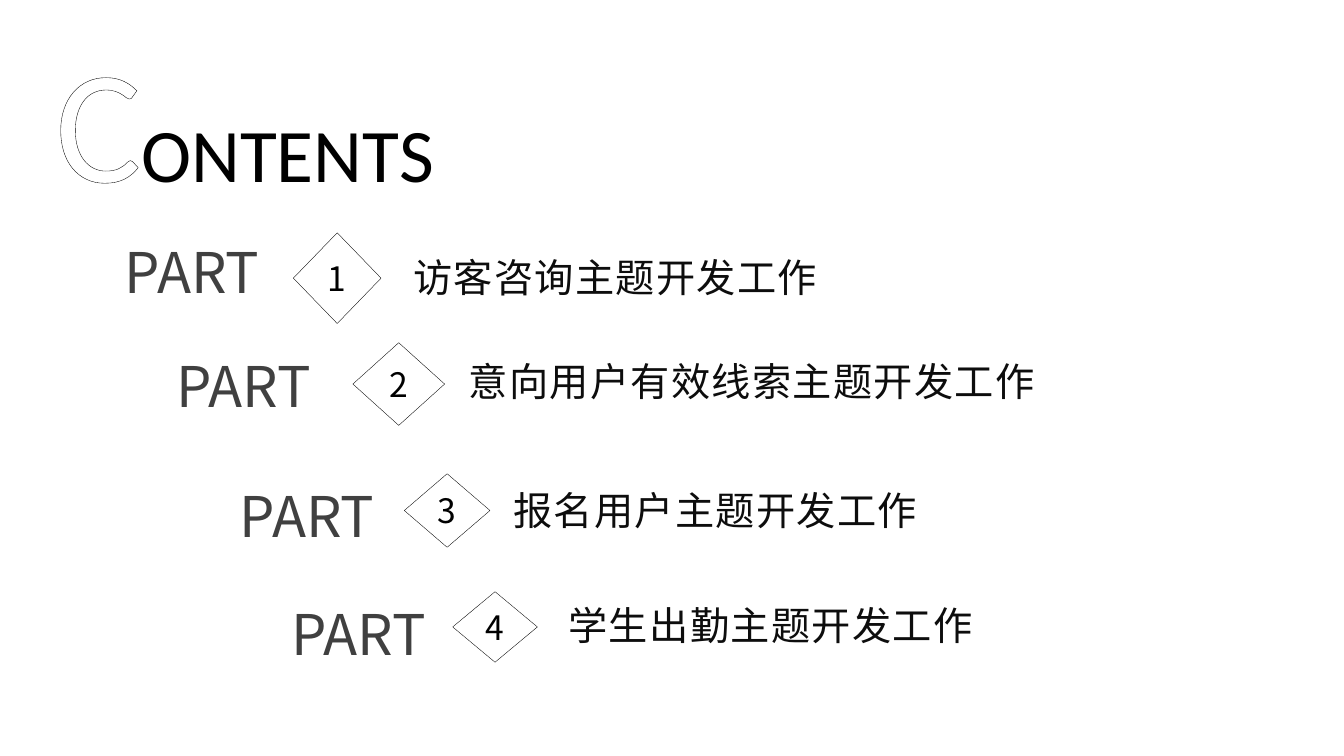
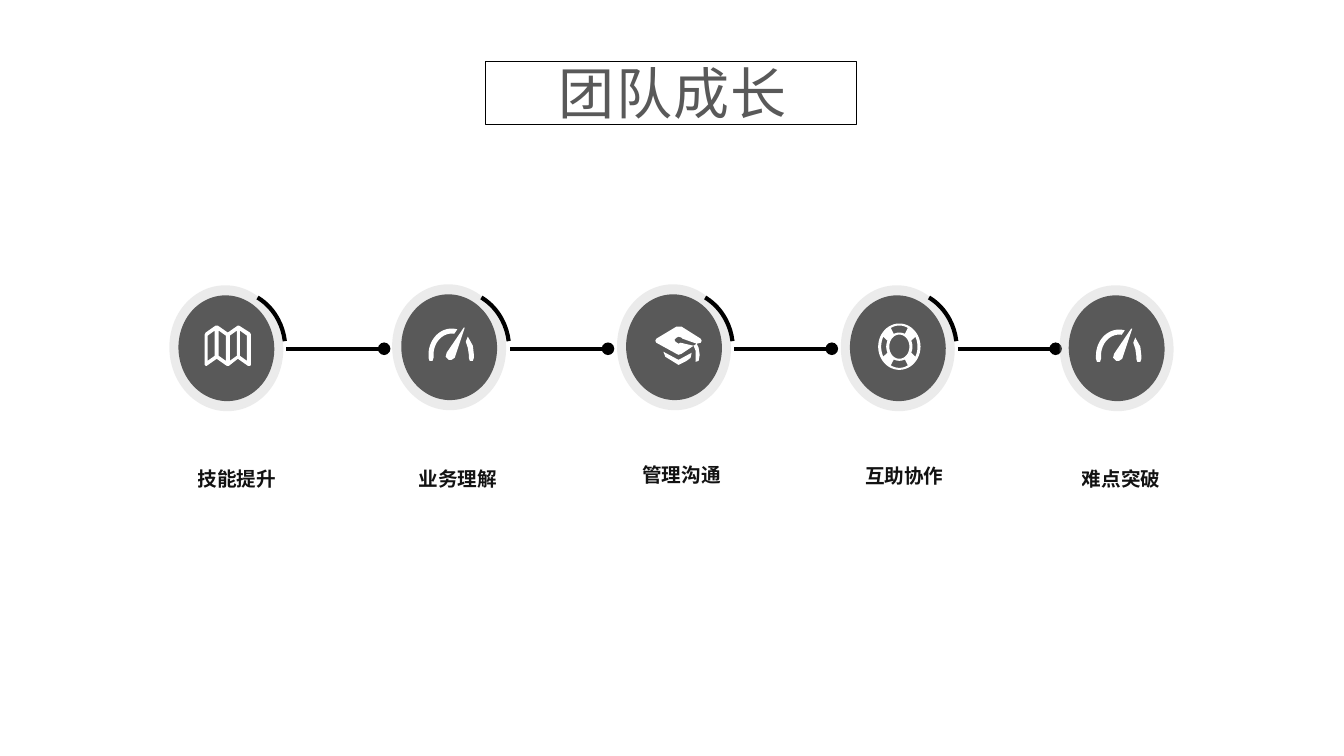
from math import cos, radians, sin

from lxml.etree import SubElement
from pptx import Presentation
from pptx.dml.color import RGBColor
from pptx.enum.shapes import MSO_CONNECTOR, MSO_SHAPE
from pptx.enum.text import MSO_ANCHOR, PP_ALIGN
from pptx.oxml.ns import qn
from pptx.util import Inches, Pt

COLORS = {"black": "000000", "white": "FFFFFF", "heading": "595959", "part": "404040",
          "topic": "0D0D0D", "halo": "BFBFBF", "disc": "595959"}
CJK, LATIN = "Noto Sans CJK SC", "Calibri"
TITLE_ONLY = 5

# topic, PART (left, top), diamond (left, top, width, height), topic (left, top)
CONTENTS = [
    ("访客咨询主题开发工作", (1.14, 2.31), (2.91, 2.31, 0.87, 0.9), (4.0, 2.42)),
    ("意向用户有效线索主题开发工作", (1.65, 3.44), (3.5, 3.4, 0.91, 0.82), (4.55, 3.45)),
    ("报名用户主题开发工作", (2.28, 4.73), (4.01, 4.7, 0.85, 0.73), (4.99, 4.73)),
    ("学生出勤主题开发工作", (2.79, 5.9), (4.49, 5.87, 0.84, 0.7), (5.54, 5.87)),
]

# label, label (left, top), halo (left, top), icon, icon (left, top)
GROWTH = [
    ("技能提升", (1.7, 4.58), (1.68, 2.83), "map", (2.03, 3.23)),
    ("业务理解", (3.89, 4.58), (3.89, 2.82), "gauge", (4.25, 3.24)),
    ("管理沟通", (6.11, 4.54), (6.12, 2.82), "cap", (6.5, 3.24)),
    ("互助协作", (8.32, 4.55), (8.34, 2.83), "ring", (8.71, 3.21)),
    ("难点突破", (10.47, 4.58), (10.51, 2.83), "gauge", (10.87, 3.25)),
]
HALO_SIZE, DISC_SIZE = (1.13, 1.25), (0.95, 1.05)
DISC_TILT = 355.3
LINK_PITCH, LINK_LEFT, LINK_LENGTH, LINK_Y = 2.22, 2.84, 0.97, 3.46
ARC_BOX = (1.72, 2.93, 1.16, 1.06)
ARC_ANGLES = (26.57, 81.76)


def ellipse_points(center, radii, start, end, steps=24):
    """Points along an ellipse, in degrees clockwise from the right."""
    angles = [radians(start + (end - start) * i / steps) for i in range(steps + 1)]
    return [(center[0] + radii[0] * cos(a), center[1] + radii[1] * sin(a)) for a in angles]


def map_icon():
    sheet = [(0.45, 0.07), (0.34, 0), (0.33, 0), (0.23, 0.07), (0.13, 0), (0.11, 0),
             (0.01, 0.07), (0, 0.09), (0, 0.39), (0.01, 0.4), (0.02, 0.4), (0.12, 0.33),
             (0.22, 0.4), (0.24, 0.4), (0.33, 0.33), (0.43, 0.4), (0.45, 0.4),
             (0.46, 0.39), (0.46, 0.09)]
    panels = []
    for i, left in enumerate((0.03, 0.14, 0.25, 0.35)):
        near, far = (0.05, 0.1) if i % 2 else (0.1, 0.05)
        right = left + 0.07
        panels.append([(left, near), (right, far), (right, far + 0.25), (left, near + 0.25)])
    return [sheet] + panels


def gauge_icon():
    center = (0.23, 0.28)
    needle = [(0.18, 0.26), (0.17, 0.3), (0.2, 0.33), (0.23, 0.33), (0.26, 0.31),
              (0.36, 0.01), (0.35, 0.01)]
    dial = (ellipse_points(center, (0.23, 0.26), 180, 284)
            + ellipse_points(center, (0.18, 0.21), 278, 180)
            + [(0.05, 0.31), (0.04, 0.34), (0.01, 0.34), (0, 0.31)])
    rest = [(0.39, 0.1), (0.37, 0.15), (0.39, 0.21), (0.4, 0.28), (0.4, 0.31), (0.41, 0.34),
            (0.44, 0.34), (0.45, 0.31), (0.45, 0.28), (0.44, 0.19)]
    return [needle, dial, rest]


def cap_icon():
    base = [(0.08, 0.25), (0.1, 0.3), (0.15, 0.33), (0.23, 0.38), (0.31, 0.34),
            (0.35, 0.31), (0.36, 0.26), (0.23, 0.33)]
    board = [(0.45, 0.12), (0.26, 0), (0.21, 0), (0.01, 0.12), (0, 0.14), (0.01, 0.16),
             (0.21, 0.27), (0.23, 0.28), (0.26, 0.27), (0.38, 0.19), (0.25, 0.16),
             (0.23, 0.17), (0.2, 0.15), (0.19, 0.13), (0.21, 0.11), (0.23, 0.1),
             (0.26, 0.11), (0.27, 0.12), (0.41, 0.17), (0.45, 0.16), (0.46, 0.14)]
    tassel = [(0.4, 0.35), (0.43, 0.34), (0.44, 0.28), (0.43, 0.21), (0.41, 0.17),
              (0.38, 0.19), (0.4, 0.24)]
    return [base, board, tassel]


def ring_icon():
    center = (0.21, 0.23)
    outlines = [ellipse_points(center, radii, 0, 360, 48) for radii in ((0.21, 0.23), (0.1, 0.12))]
    for middle in range(0, 360, 90):
        outlines.append(ellipse_points(center, (0.18, 0.21), middle - 28, middle + 28)
                        + ellipse_points(center, (0.13, 0.14), middle + 25, middle - 25))
    return outlines


ICONS = {"map": map_icon(), "gauge": gauge_icon(), "cap": cap_icon(), "ring": ring_icon()}


def color(name):
    return RGBColor.from_string(COLORS[name])


def set_opacity(element, percent):
    SubElement(element.find(".//" + qn("a:srgbClr")), qn("a:alpha"), val=str(percent * 1000))


def add_run(paragraph, text, size, fill="black", font=CJK, bold=False, spacing=0,
            opacity=100, outline=None):
    run = paragraph.add_run()
    run.text = text
    run.font.size, run.font.bold, run.font.name = Pt(size), bold, font
    run.font.color.rgb = color(fill)
    properties = run.font._element
    SubElement(properties, qn("a:ea"), typeface=CJK)
    if spacing:
        properties.set("spc", str(spacing * 100))
    if opacity < 100:
        set_opacity(properties, opacity)
    if outline:
        line = SubElement(properties, qn("a:ln"), w=str(Pt(0.25)))
        solid = SubElement(line, qn("a:solidFill"))
        SubElement(solid, qn("a:srgbClr"), val=COLORS[outline])
        properties.insert(0, line)


def write(shape, text, size, align=PP_ALIGN.LEFT, anchor=MSO_ANCHOR.TOP, line_spacing=1.0, **style):
    """Append a formatted run to the first paragraph of a shape."""
    frame = shape.text_frame
    frame.word_wrap, frame.vertical_anchor = True, anchor
    paragraph = frame.paragraphs[0]
    paragraph.alignment, paragraph.line_spacing = align, line_spacing
    add_run(paragraph, text, size, **style)


def add_text(slide, box, text, size, **style):
    write(slide.shapes.add_textbox(*map(Inches, box)), text, size, **style)


def paint(shape, fill=None, line=None, width=0.25, opacity=100):
    shape.shadow.inherit = False
    if fill:
        shape.fill.solid()
        shape.fill.fore_color.rgb = color(fill)
        if opacity < 100:
            set_opacity(shape._element.spPr, opacity)
    else:
        shape.fill.background()
    if line:
        shape.line.color.rgb = color(line)
        shape.line.width = Pt(width)
    else:
        shape.line.fill.background()


def add_shape(slide, kind, box, rotation=0, **look):
    shape = slide.shapes.add_shape(kind, *map(Inches, box))
    shape.rotation = rotation
    paint(shape, **look)
    return shape


def add_titled_slide(presentation, box):
    slide = presentation.slides.add_slide(presentation.slide_layouts[TITLE_ONLY])
    title = slide.shapes.title
    title.left, title.top, title.width, title.height = map(Inches, box)
    return slide, title


def add_icon(slide, outlines, left, top):
    outlines = [[(Inches(left + x), Inches(top + y)) for x, y in points] for points in outlines]
    builder = slide.shapes.build_freeform(*outlines[0][0], scale=1.0)
    for i, points in enumerate(outlines):
        if i:
            builder.move_to(*points[0])
        builder.add_line_segments(points[1:], close=True)
    paint(builder.convert_to_shape(), fill="white")


def add_link(slide, index):
    """Arc round a disc and the dotted line that leads to the next one."""
    shift = index * LINK_PITCH
    arc = add_shape(slide, MSO_SHAPE.ARC, (ARC_BOX[0] + shift, *ARC_BOX[1:]), 270,
                    line="black", width=3)
    for i, degrees in enumerate(ARC_ANGLES):
        arc.adjustments[i] = degrees * 0.6
    left = LINK_LEFT + shift
    link = slide.shapes.add_connector(MSO_CONNECTOR.STRAIGHT, *map(
        Inches, (left, LINK_Y, left + LINK_LENGTH, LINK_Y)))
    link.line.color.rgb = color("black")
    link.line.width = Pt(3)
    properties = link._element.spPr
    SubElement(properties.find(qn("a:ln")), qn("a:tailEnd"), type="oval")
    SubElement(properties, qn("a:effectLst"))


def add_disc(slide, left, top):
    add_shape(slide, MSO_SHAPE.OVAL, (left, top, *HALO_SIZE), DISC_TILT, fill="halo", opacity=30)
    inset = [(outer - inner) / 2 for outer, inner in zip(HALO_SIZE, DISC_SIZE)]
    add_shape(slide, MSO_SHAPE.OVAL, (left + inset[0], top + inset[1], *DISC_SIZE), DISC_TILT,
              fill="disc")


def build_contents(presentation):
    slide, title = add_titled_slide(presentation, (0.45, 0.16, 4.77, 2.03))
    write(title, "C", 115, fill="white", font=LATIN, outline="black")
    write(title, "ONTENTS", 54, font=LATIN)
    for number, (topic, part_at, diamond_box, topic_at) in enumerate(CONTENTS, 1):
        add_text(slide, (*part_at, 1.7, 0.8), "PART", 40, fill="part")
        diamond = add_shape(slide, MSO_SHAPE.DIAMOND, diamond_box, line="black")
        write(diamond, str(number), 24, align=PP_ALIGN.CENTER, anchor=MSO_ANCHOR.MIDDLE)
        add_text(slide, (*topic_at, 6.4, 0.58), topic, 28, fill="topic", spacing=1,
                 line_spacing=1.1)


def build_growth(presentation):
    slide, title = add_titled_slide(presentation, (4.81, 0.61, 3.73, 0.71))
    write(title, "团队成长", 40, align=PP_ALIGN.CENTER, line_spacing=0.9, fill="heading", spacing=1)
    add_shape(slide, MSO_SHAPE.RECTANGLE, (4.81, 0.61, 3.68, 0.62), line="black")
    for index, (label, label_at, halo_at, icon, icon_at) in enumerate(GROWTH):
        add_disc(slide, *halo_at)
        add_icon(slide, ICONS[icon], *icon_at)
        if index < len(GROWTH) - 1:
            add_link(slide, index)
        add_text(slide, (*label_at, 1.3, 0.34), label, 14, align=PP_ALIGN.CENTER,
                 font=LATIN, bold=True, opacity=92)


def main():
    presentation = Presentation()
    presentation.slide_width, presentation.slide_height = Inches(13.33), Inches(7.5)
    build_contents(presentation)
    build_growth(presentation)
    presentation.save("out.pptx")


if __name__ == "__main__":
    main()
